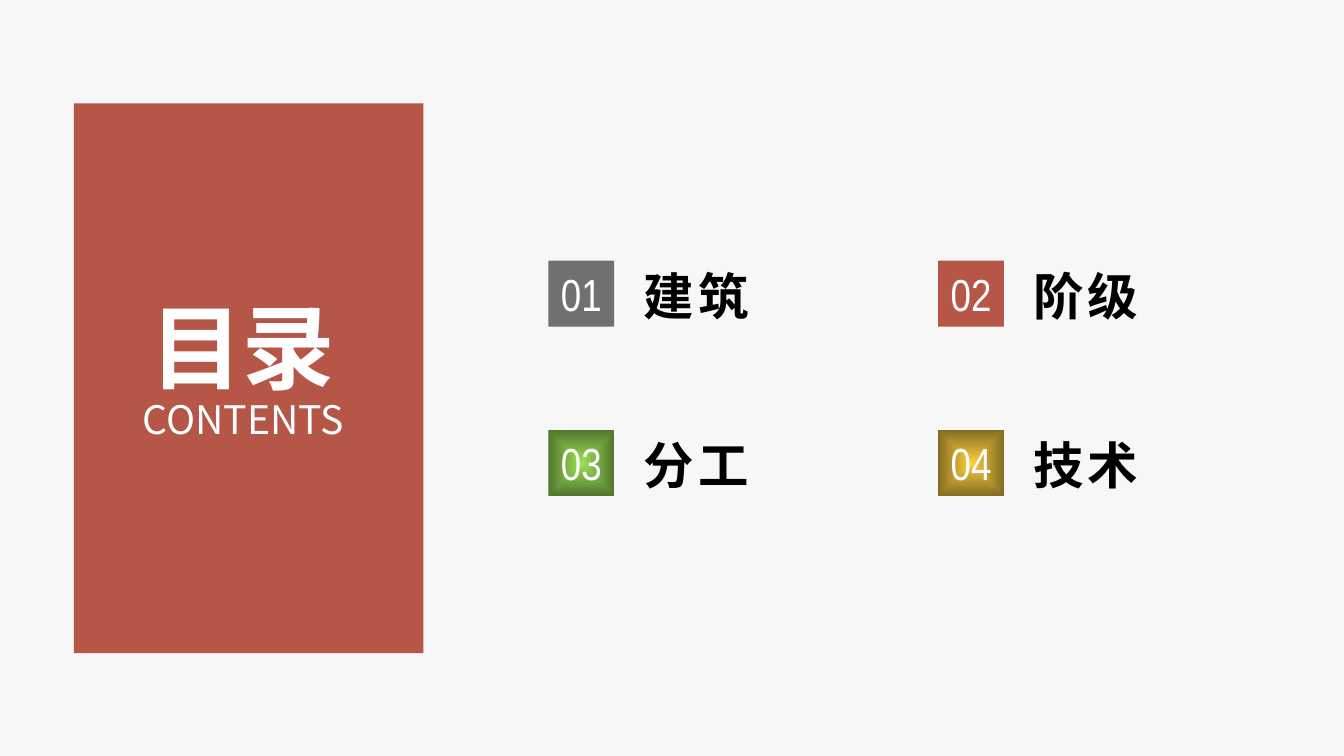
from dataclasses import dataclass

from lxml.etree import SubElement
from pptx import Presentation
from pptx.dml.color import RGBColor
from pptx.enum.shapes import MSO_SHAPE
from pptx.enum.text import MSO_ANCHOR, MSO_AUTO_SIZE, PP_ALIGN
from pptx.oxml.ns import qn
from pptx.util import Inches, Pt


@dataclass(frozen=True)
class Theme:
    """Colours, fonts and type sizes of the slide."""
    background: str = "F7F7F7"
    red: str = "AA3A29"
    grey: str = "595959"
    green: tuple = ("9EE256", "52762D")
    gold: tuple = ("FECF40", "846C21")
    white: str = "FFFFFF"
    black: str = "000000"
    opacity: int = 85
    text_font: str = "Noto Sans CJK SC"
    number_font: str = "Arial Narrow"
    title_size: float = 49.5
    subtitle_size: float = 21
    number_size: float = 24
    topic_size: float = 27
    topic_spacing: float = 2.2


@dataclass(frozen=True)
class Box:
    """A rectangle in inches."""
    left: float
    top: float
    width: float
    height: float

    def inner(self, left, top, width, height):
        """Return a box placed relative to this one."""
        return Box(self.left + left, self.top + top, width, height)

    def lengths(self):
        """Return the four sides as slide lengths."""
        return [Inches(side) for side in (self.left, self.top, self.width, self.height)]


THEME = Theme()


def fill_solid(shape, colour):
    """Fill a shape with a slightly transparent colour."""
    shape.fill.solid()
    shape.fill.fore_color.rgb = RGBColor.from_string(colour)
    colour_element = shape.element.spPr.find(f"{qn('a:solidFill')}/{qn('a:srgbClr')}")
    SubElement(colour_element, qn("a:alpha"), val=str(THEME.opacity * 1000))


def fill_gradient(shape, colours):
    """Fill a shape with a gradient running from its centre to its edges."""
    shape.fill.gradient()
    for stop, colour in zip(shape.fill.gradient_stops, colours):
        stop.color.rgb = RGBColor.from_string(colour)
    gradient = shape.element.spPr.find(qn("a:gradFill"))
    gradient.remove(gradient.find(qn("a:lin")))
    centre = SubElement(gradient, qn("a:path"), path="rect")
    SubElement(centre, qn("a:fillToRect"), l="50000", t="50000", r="50000", b="50000")


def add_rectangle(slide, box, fill):
    """Add a borderless rectangle with a plain or gradient fill."""
    shape = slide.shapes.add_shape(MSO_SHAPE.RECTANGLE, *box.lengths())
    shape.shadow.inherit = False
    shape.line.fill.background()
    if isinstance(fill, tuple):
        fill_gradient(shape, fill)
    else:
        fill_solid(shape, fill)
    return shape


def write_text(shape, text, size, font, colour, alignment, bold=False, spacing=0):
    """Write one formatted paragraph into a shape."""
    paragraph = shape.text_frame.paragraphs[0]
    paragraph.text = text
    paragraph.alignment = alignment
    run = paragraph.runs[0]
    run.font.size = Pt(size)
    run.font.bold = bold
    run.font.name = font
    run.font.color.rgb = RGBColor.from_string(colour)
    properties = run.font._element
    SubElement(properties, qn("a:ea"), typeface=font)
    if spacing:
        properties.set("spc", str(round(spacing * 100)))


def add_label(slide, box, text, size, colour, alignment, wrap, bold=False, spacing=0):
    """Add a text box that grows with its text."""
    label = slide.shapes.add_textbox(*box.lengths())
    frame = label.text_frame
    frame.word_wrap = wrap
    frame.auto_size = MSO_AUTO_SIZE.SHAPE_TO_FIT_TEXT
    write_text(label, text, size, THEME.text_font, colour, alignment, bold, spacing)
    return frame


def add_title_panel(slide, box):
    """Add the coloured panel with the title and its subtitle."""
    add_rectangle(slide, box, THEME.red)
    lines = [
        ("目录", THEME.title_size, True, box.inner(0.57, 1.34, 1.45, 0.93)),
        ("CONTENTS", THEME.subtitle_size, False, box.inner(0.51, 2.12, 1.57, 0.45)),
    ]
    for text, size, bold, place in lines:
        frame = add_label(slide, place, text, size, THEME.white, PP_ALIGN.JUSTIFY, True, bold)
        frame.margin_left = frame.margin_right = 0


def add_topic(slide, box, number, topic, fill):
    """Add a numbered square with its topic beside it."""
    square = add_rectangle(slide, box.inner(0, 0, 0.49, 0.49), fill)
    frame = square.text_frame
    frame.margin_left = frame.margin_right = frame.margin_top = frame.margin_bottom = 0
    frame.vertical_anchor = MSO_ANCHOR.MIDDLE
    write_text(square, f"{number:02d}", THEME.number_size, THEME.number_font,
               THEME.white, PP_ALIGN.CENTER)
    add_label(slide, box.inner(0.61, -0.02, 1.02, 0.55), topic, THEME.topic_size,
              THEME.black, PP_ALIGN.LEFT, False, True, THEME.topic_spacing)


def add_topic_grid(slide, box):
    """Add the topics in two columns, numbered row by row."""
    topics = [("建筑", THEME.grey), ("阶级", THEME.red),
              ("分工", THEME.green), ("技术", THEME.gold)]
    column_step, row_step = 2.9, 1.26
    for index, (topic, fill) in enumerate(topics):
        row, column = divmod(index, 2)
        cell = box.inner(column * column_step, row * row_step, 1.63, 0.49)
        add_topic(slide, cell, index + 1, topic, fill)


def main():
    """Build the contents slide and save it."""
    presentation = Presentation()
    presentation.slide_width = Inches(10)
    presentation.slide_height = Inches(10 * 9 / 16)
    slide = presentation.slides.add_slide(presentation.slide_layouts[6])
    slide.background.fill.solid()
    slide.background.fill.fore_color.rgb = RGBColor.from_string(THEME.background)
    add_title_panel(slide, Box(0.55, 0.77, 2.6, 4.09))
    add_topic_grid(slide, Box(4.08, 1.94, 4.53, 1.75))
    presentation.save("out.pptx")


if __name__ == "__main__":
    main()
